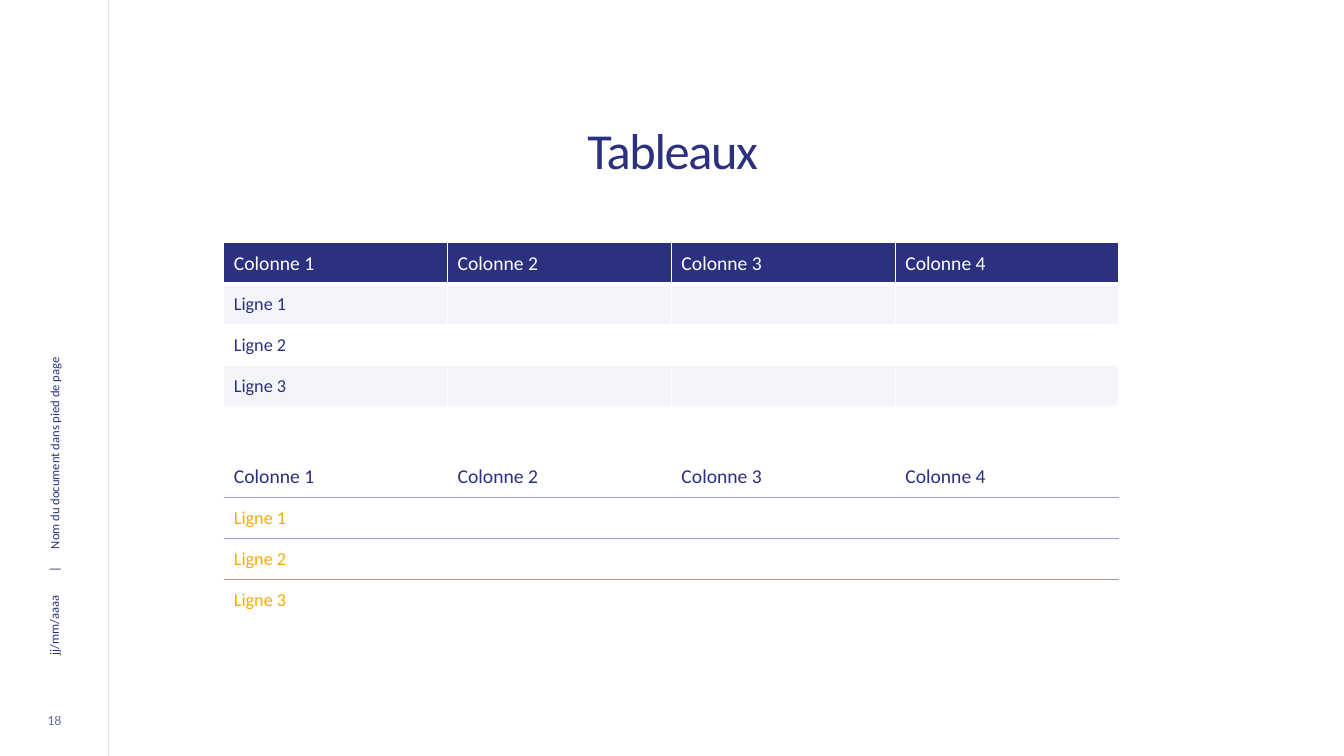
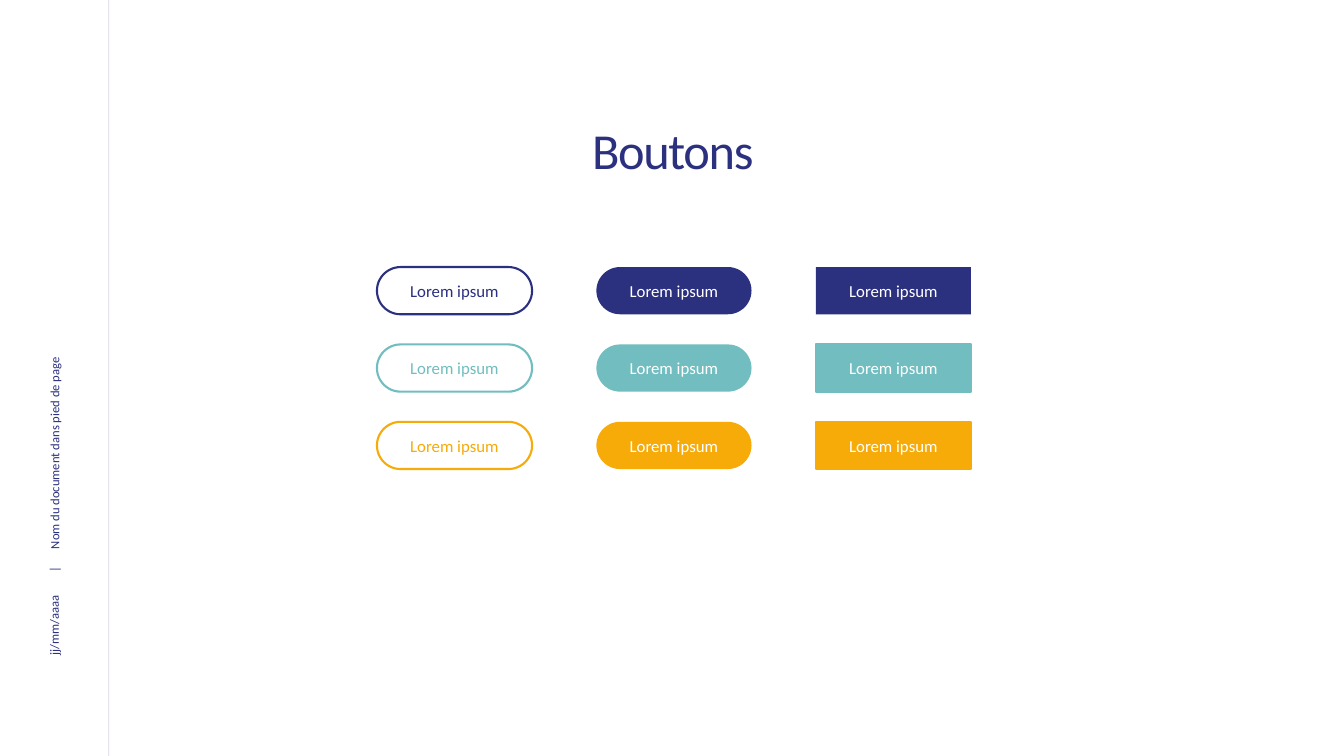
from lxml.etree import SubElement
from pptx import Presentation
from pptx.dml.color import RGBColor
from pptx.enum.shapes import MSO_CONNECTOR, MSO_SHAPE
from pptx.enum.text import MSO_ANCHOR, MSO_AUTO_SIZE, PP_ALIGN
from pptx.oxml import parse_xml
from pptx.oxml.ns import nsdecls, qn
from pptx.util import Cm, Pt

FONT = "Calibri"
NO_STYLE = "{2D5ABB26-0587-4C30-8999-92F81FD0307C}"
COLORS = {
    "navy": "2B307F",
    "teal": "71BDBF",
    "orange": "F6AB09",
    "lavender": "CCCEEE",
    "rule": "999DDD",
    "white": "FFFFFF",
}
COLUMNS = [f"Colonne {number}" for number in range(1, 5)]
ROWS = [f"Ligne {number}" for number in range(1, 4)]


def color(name):
    return RGBColor.from_string(COLORS[name])


def set_opacity(element, percent):
    for rgb in element.iter(qn("a:srgbClr")):
        SubElement(rgb, qn("a:alpha")).set("val", str(percent * 1000))


def write(text_frame, text, size, color_name, align=PP_ALIGN.LEFT, spacing=None):
    text_frame.text = text
    paragraph = text_frame.paragraphs[0]
    paragraph.alignment = align
    paragraph.line_spacing = spacing
    run = paragraph.runs[0]
    run.font.name = FONT
    run.font.size = Pt(size)
    run.font.color.rgb = color(color_name)
    return run


def set_insets(text_frame, top=0):
    text_frame.margin_left = text_frame.margin_right = text_frame.margin_bottom = 0
    text_frame.margin_top = Cm(top)


def add_label(slide, text, left, top, width, height, rotation=0, size=9,
              anchor=MSO_ANCHOR.MIDDLE, **style):
    box = slide.shapes.add_textbox(Cm(left), Cm(top), Cm(width), Cm(height))
    box.rotation = rotation
    box.text_frame.word_wrap = True
    box.text_frame.vertical_anchor = anchor
    write(box.text_frame, text, size, "navy", **style)
    return box


def add_margin(slide):
    line = slide.shapes.add_connector(MSO_CONNECTOR.STRAIGHT, Cm(2.74), 0, Cm(2.74), Cm(19.05))
    line.line.color.rgb = color("navy")
    line.line.width = Pt(0.5)
    properties = line._element.spPr
    set_opacity(properties, 20)
    SubElement(properties, qn("a:effectLst"))
    add_label(slide, "|", 1.04, 13.97, 0.64, 0.79, 270, anchor=MSO_ANCHOR.TOP, spacing=1.2)
    add_label(slide, "jj/mm/aaaa", 0.25, 15.24, 2.21, 0.84, 270)
    add_label(slide, "Nom du document dans pied de page", -2.21, 10.11, 7.16, 0.79, 270)


def add_page_number(slide, number):
    box = add_label(slide, str(number), 0.66, 17.83, 1.42, 0.64, size=10, align=PP_ALIGN.CENTER)
    set_insets(box.text_frame)
    set_opacity(box._element.txBody, 70)


def add_slide(presentation, title_text):
    slide = presentation.slides.add_slide(presentation.slide_layouts[5])
    title = slide.shapes.title
    title.left, title.top, title.width, title.height = Cm(5.18), Cm(2.77), Cm(23.55), Cm(2.06)
    frame = title.text_frame
    frame.auto_size = MSO_AUTO_SIZE.NONE
    frame.vertical_anchor = MSO_ANCHOR.TOP
    set_insets(frame, top=0.53)
    run = write(frame, title_text, 36, "navy", PP_ALIGN.CENTER, 0.8)
    run.font._element.set("spc", "-100")
    add_margin(slide)
    return slide


def set_borders(cell, borders):
    properties = cell._tc.get_or_add_tcPr()
    sides = [side for side in "LRTB" if side in borders]
    for index, side in enumerate(sides):
        name, width = borders[side]
        properties.insert(index, parse_xml(
            f'<a:ln{side} {nsdecls("a")} w="{Pt(width)}"><a:solidFill>'
            f'<a:srgbClr val="{COLORS[name]}"/></a:solidFill></a:ln{side}>'))


def banded_cell(cell, row):
    cell.fill.solid()
    cell.fill.fore_color.rgb = color(("navy", "lavender", "white")[row and 2 - row % 2])
    if row:
        set_opacity(cell._tc.tcPr, 20)
    borders = {side: ("white", 1) for side in "LRTB"}
    if row < 2:
        borders["T" if row else "B"] = ("white", 3)
    set_borders(cell, borders)


def ruled_cell(cell, row):
    cell.fill.background()
    borders = {}
    if row > 0:
        borders["T"] = ("rule", 0.5)
    if row < len(ROWS):
        borders["B"] = ("rule", 0.5)
    set_borders(cell, borders)


def add_grid(slide, top, header_color, label_color, format_cell):
    column_width, row_height = 5.64, 1.03
    row_count, column_count = len(ROWS) + 1, len(COLUMNS)
    table = slide.shapes.add_table(
        row_count, column_count, Cm(5.64), Cm(top),
        Cm(column_width * column_count), Cm(row_height * row_count)).table
    table.first_row = table.horz_banding = False
    table._tbl.tblPr.find(qn("a:tableStyleId")).text = NO_STYLE
    for row in range(row_count):
        for column in range(column_count):
            cell = table.cell(row, column)
            cell.vertical_anchor = MSO_ANCHOR.MIDDLE
            format_cell(cell, row)
            if row == 0:
                write(cell.text_frame, COLUMNS[column], 14, header_color)
            elif column == 0:
                write(cell.text_frame, ROWS[row - 1], 13, label_color)


def add_button(slide, left, top, color_name, filled, outlined, roundness):
    button = slide.shapes.add_shape(
        MSO_SHAPE.ROUNDED_RECTANGLE, Cm(left), Cm(top), Cm(3.91), Cm(1.19))
    button.adjustments[0] = roundness
    button.shadow.inherit = False
    if filled:
        button.fill.solid()
        button.fill.fore_color.rgb = color(color_name)
    else:
        button.fill.background()
    if outlined:
        button.line.color.rgb = color(color_name)
        button.line.width = Pt(1.5)
    else:
        button.line.fill.background()
    button.text_frame.vertical_anchor = MSO_ANCHOR.MIDDLE
    write(button.text_frame, "Lorem ipsum", 12, "white" if filled else color_name,
          PP_ALIGN.CENTER)


def add_buttons(slide):
    for row, name in enumerate(("navy", "teal", "orange")):
        styles = ((False, True, 0.5), (True, False, 0.5), (True, name != "navy", 0))
        for column, style in enumerate(styles):
            add_button(slide, 9.5 + 5.53 * column, 6.73 + 1.95 * row, name, *style)


def main():
    presentation = Presentation()
    presentation.slide_width, presentation.slide_height = Cm(33.87), Cm(19.05)
    tables = add_slide(presentation, "Tableaux")
    add_page_number(tables, 18)
    add_grid(tables, 6.12, "white", "navy", banded_cell)
    add_grid(tables, 11.51, "navy", "orange", ruled_cell)
    add_buttons(add_slide(presentation, "Boutons"))
    presentation.save("out.pptx")


if __name__ == "__main__":
    main()
